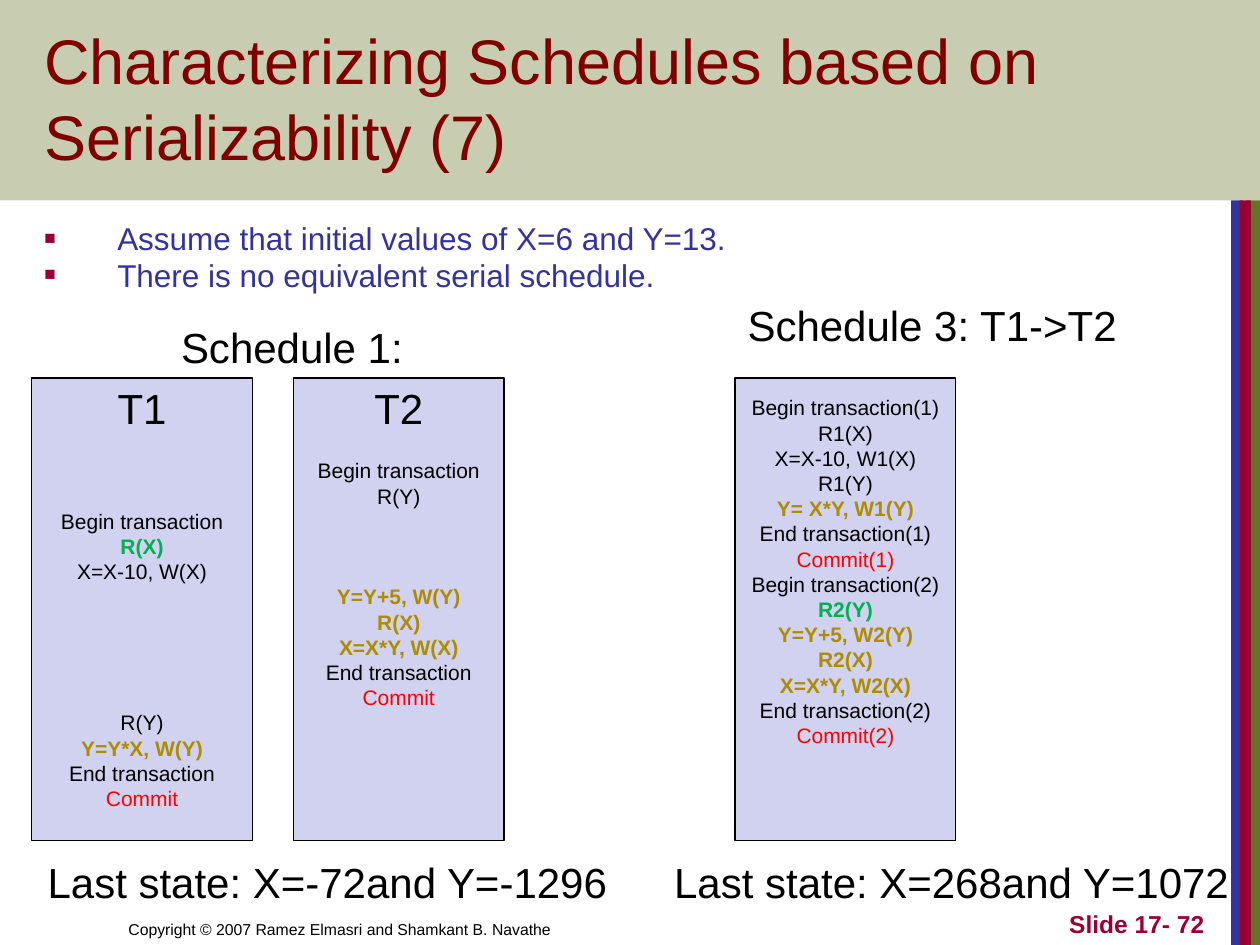
"""Build the slide on serializability of transaction schedules."""
from dataclasses import dataclass

from lxml import etree
from pptx import Presentation
from pptx import util as u
from pptx.dml.color import RGBColor
from pptx.enum import shapes, text
from pptx.oxml.ns import qn


@dataclass(frozen=True)
class Theme:
    font: str = "Arial"
    title: str = "800000"
    body: str = "333399"
    accent: str = "990033"
    olive: str = "677228"
    ink: str = "000000"
    panel: str = "D1D1F0"
    green: str = "00B050"
    gold: str = "AD8C01"
    red: str = "FF0000"
    title_size: float = 36
    heading_size: float = 24
    body_size: float = 18
    number_size: float = 14
    code_size: float = 12
    footer_size: float = 9
    leading: float = 1.2


THEME = Theme()


@dataclass(frozen=True)
class Area:
    left: float
    top: float
    width: float
    height: float

    def lengths(self) -> tuple:
        return tuple(u.Cm(v) for v in (self.left, self.top, self.width, self.height))


@dataclass(frozen=True)
class Step:
    text: str
    color: str = THEME.ink
    bold: bool = False
    gap: float = 0
    size: float = THEME.code_size


@dataclass(frozen=True)
class Panel:
    left: float
    width: float
    inset: float
    steps: tuple


@dataclass(frozen=True)
class Label:
    text: str
    area: Area


def green(value: str) -> Step:
    return Step(value, THEME.green, True)


def gold(value: str, gap: float = 0) -> Step:
    return Step(value, THEME.gold, True, gap)


def red(value: str) -> Step:
    return Step(value, THEME.red)


def heading(value: str) -> Step:
    return Step(value, size=THEME.heading_size)


BAND = Area(0, 0, 25.4, 4.04)
STRIPES = ((25.12, 0.28, THEME.olive), (24.82, 0.23, THEME.body), (24.99, 0.23, THEME.accent))
BULLETS = ("Assume that initial values of X=6 and Y=13.", "There is no equivalent serial schedule.")
PANELS = (
    Panel(0.64, 4.45, 0.09, (
        heading("T1"), Step("Begin transaction", gap=3), green("R(X)"), Step("X=X-10, W(X)"),
        Step("R(Y)", gap=5), gold("Y=Y*X, W(Y)"), Step("End transaction"), red("Commit"))),
    Panel(5.92, 4.24, 0.09, (
        heading("T2"), Step("Begin transaction", gap=1), Step("R(Y)"),
        gold("Y=Y+5, W(Y)", gap=3), gold("R(X)"), gold("X=X*Y, W(X)"),
        Step("End transaction"), red("Commit"))),
    Panel(14.82, 4.45, 0.34, (
        Step("Begin transaction(1)"), Step("R1(X)"), Step("X=X-10, W1(X)"), Step("R1(Y)"),
        gold("Y= X*Y, W1(Y)"), Step("End transaction(1)"), red("Commit(1)"),
        Step("Begin transaction(2)"), green("R2(Y)"), gold("Y=Y+5, W2(Y)"), gold("R2(X)"),
        gold("X=X*Y, W2(X)"), Step("End transaction(2)"), red("Commit(2)"))),
)
LABELS = (
    Label("Schedule 1:", Area(3.4, 6.35, 5.03, 1.27)),
    Label("Schedule 3: T1->T2", Area(14.82, 5.92, 8.03, 1.27)),
    Label("Last state: X=-72and Y=-1296", Area(0.71, 17.15, 11.91, 1.27)),
    Label("Last state: X=268and Y=1072", Area(13.34, 17.15, 11.81, 1.27)),
)


def set_text(paragraph, value: str, *, size: float, color: str = THEME.ink, bold: bool = False,
             align=text.PP_ALIGN.LEFT, spacing=None, before: float = 0) -> None:
    """Fill a paragraph with one formatted run."""
    paragraph.alignment = align
    paragraph.line_spacing = spacing or u.Pt(size * THEME.leading)
    paragraph.space_before = u.Pt(before)
    run = paragraph.add_run()
    run.text = value
    font = run.font
    font.name, font.size, font.bold = THEME.font, u.Pt(size), bold
    font.color.rgb = RGBColor.from_string(color)


def place(shape, area: Area) -> None:
    """Move and size a shape."""
    shape.left, shape.top, shape.width, shape.height = area.lengths()


def add_rectangle(slide, area: Area, fill: str, line: str = ""):
    """Add a flat rectangle, outlined when a line colour is given."""
    shape = slide.shapes.add_shape(shapes.MSO_SHAPE.RECTANGLE, *area.lengths())
    shape.shadow.inherit = False
    shape.fill.solid()
    shape.fill.fore_color.rgb = RGBColor.from_string(fill)
    if line:
        shape.line.color.rgb = RGBColor.from_string(line)
        shape.line.width = u.Pt(0.75)
    else:
        shape.line.fill.background()
    return shape


def add_text(slide, value: str, area: Area, *, wrap: bool = False,
             anchor=text.MSO_ANCHOR.TOP, **style) -> None:
    """Add a text box holding one paragraph."""
    frame = slide.shapes.add_textbox(*area.lengths()).text_frame
    frame.word_wrap = wrap
    frame.vertical_anchor = anchor
    set_text(frame.paragraphs[0], value, **style)


def add_panel(slide, panel: Panel) -> None:
    """Draw one transaction column with its steps."""
    shape = add_rectangle(slide, Area(panel.left, 7.62, panel.width, 9.32), THEME.panel, THEME.ink)
    frame = shape.text_frame
    frame.word_wrap = False
    frame.vertical_anchor = text.MSO_ANCHOR.TOP
    frame.margin_top = u.Cm(panel.inset)
    for index, step in enumerate(panel.steps):
        paragraph = frame.add_paragraph() if index else frame.paragraphs[0]
        set_text(paragraph, step.text, size=step.size, color=step.color, bold=step.bold,
                 align=text.PP_ALIGN.CENTER,
                 before=step.gap * THEME.code_size * THEME.leading)


def add_bullet(paragraph) -> None:
    """Give a paragraph a small square bullet and a hanging indent."""
    properties = paragraph._p.get_or_add_pPr()
    indent = u.Cm(1.47)
    properties.set("marL", str(indent))
    properties.set("indent", str(-indent))
    color = etree.SubElement(properties, qn("a:buClr"))
    etree.SubElement(color, qn("a:srgbClr"), val=THEME.accent)
    etree.SubElement(properties, qn("a:buSzPct"), val="60000")
    etree.SubElement(properties, qn("a:buFont"), typeface=THEME.font)
    etree.SubElement(properties, qn("a:buChar"), char="■")


def add_backdrop(slide) -> None:
    """Draw the side stripes and the translucent title band."""
    for left, width, color in STRIPES:
        add_rectangle(slide, Area(left, BAND.height, width, 19.05 - BAND.height), color)
    band = add_rectangle(slide, BAND, THEME.olive)
    color = band._element.spPr.find(".//" + qn("a:srgbClr"))
    etree.SubElement(color, qn("a:alpha"), val="36000")


def fill_placeholders(slide) -> None:
    """Set the title and the bullet list in front of the backdrop."""
    title, body = slide.shapes.title, slide.placeholders[1]
    for shape, area in ((title, Area(0.64, 0.84, 21.67, 2.77)), (body, Area(0.64, 4.44, 23.04, 1.47))):
        place(shape, area)
        shape.text_frame.auto_size = text.MSO_AUTO_SIZE.NONE
        slide.shapes._spTree.append(shape._element)
    title.text_frame.vertical_anchor = text.MSO_ANCHOR.BOTTOM
    set_text(title.text_frame.paragraphs[0], "Characterizing Schedules based on Serializability (7)",
             size=THEME.title_size, color=THEME.title)
    frame = body.text_frame
    frame.margin_right = 0
    for index, value in enumerate(BULLETS):
        paragraph = frame.add_paragraph() if index else frame.paragraphs[0]
        add_bullet(paragraph)
        set_text(paragraph, value, size=THEME.body_size, color=THEME.body, spacing=0.8,
                 before=0.2 * THEME.body_size if index else 0)


def main() -> None:
    """Build and save the presentation."""
    presentation = Presentation()
    presentation.slide_width, presentation.slide_height = u.Cm(25.4), u.Cm(19.05)
    slide = presentation.slides.add_slide(presentation.slide_layouts[1])
    add_backdrop(slide)
    add_text(slide, "Copyright © 2007 Ramez Elmasri and Shamkant B. Navathe", Area(2.34, 17.78, 12.5, 1.27),
             wrap=True, anchor=text.MSO_ANCHOR.BOTTOM, size=THEME.footer_size)
    add_text(slide, "Slide 17- 72", Area(19.25, 17.78, 5.28, 1.27), wrap=True, bold=True,
             anchor=text.MSO_ANCHOR.BOTTOM, size=THEME.number_size, color=THEME.accent,
             align=text.PP_ALIGN.RIGHT)
    fill_placeholders(slide)
    for panel in PANELS:
        add_panel(slide, panel)
    for label in LABELS:
        add_text(slide, label.text, label.area, size=THEME.heading_size)
    presentation.save("out.pptx")


if __name__ == "__main__":
    main()
